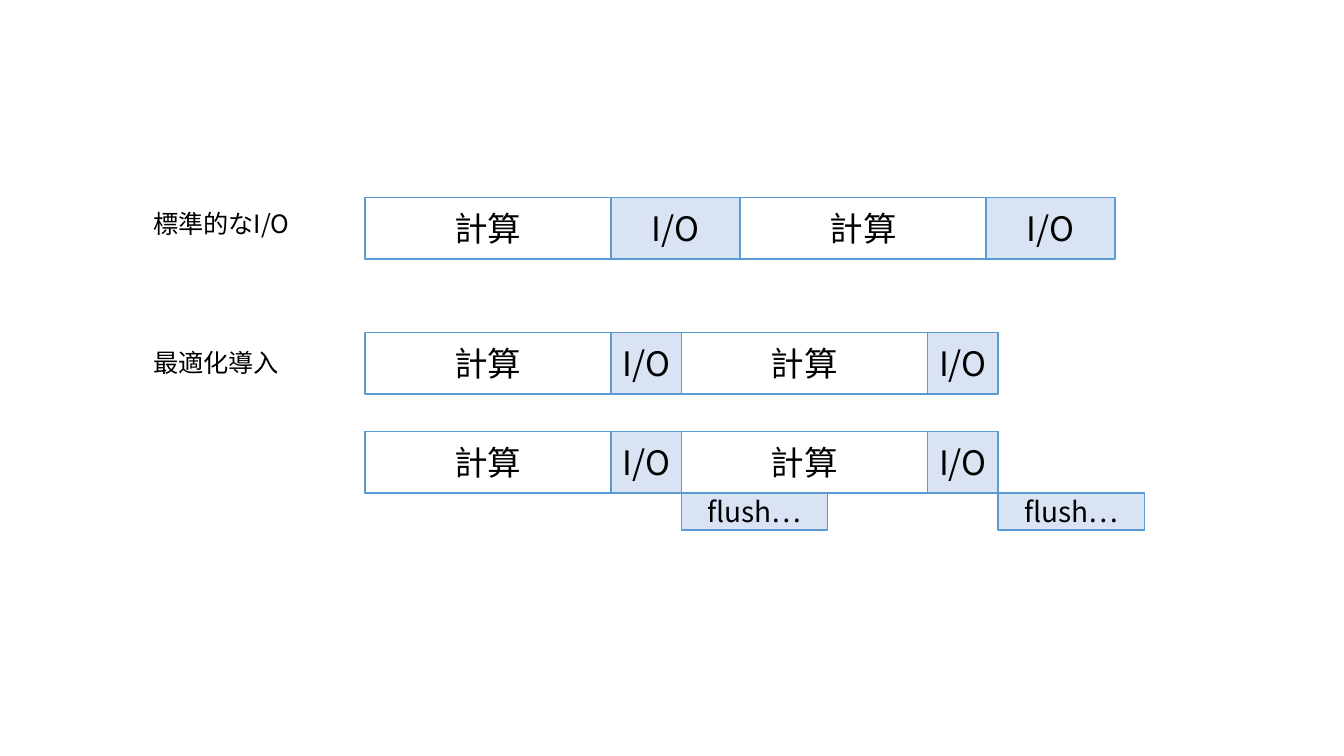
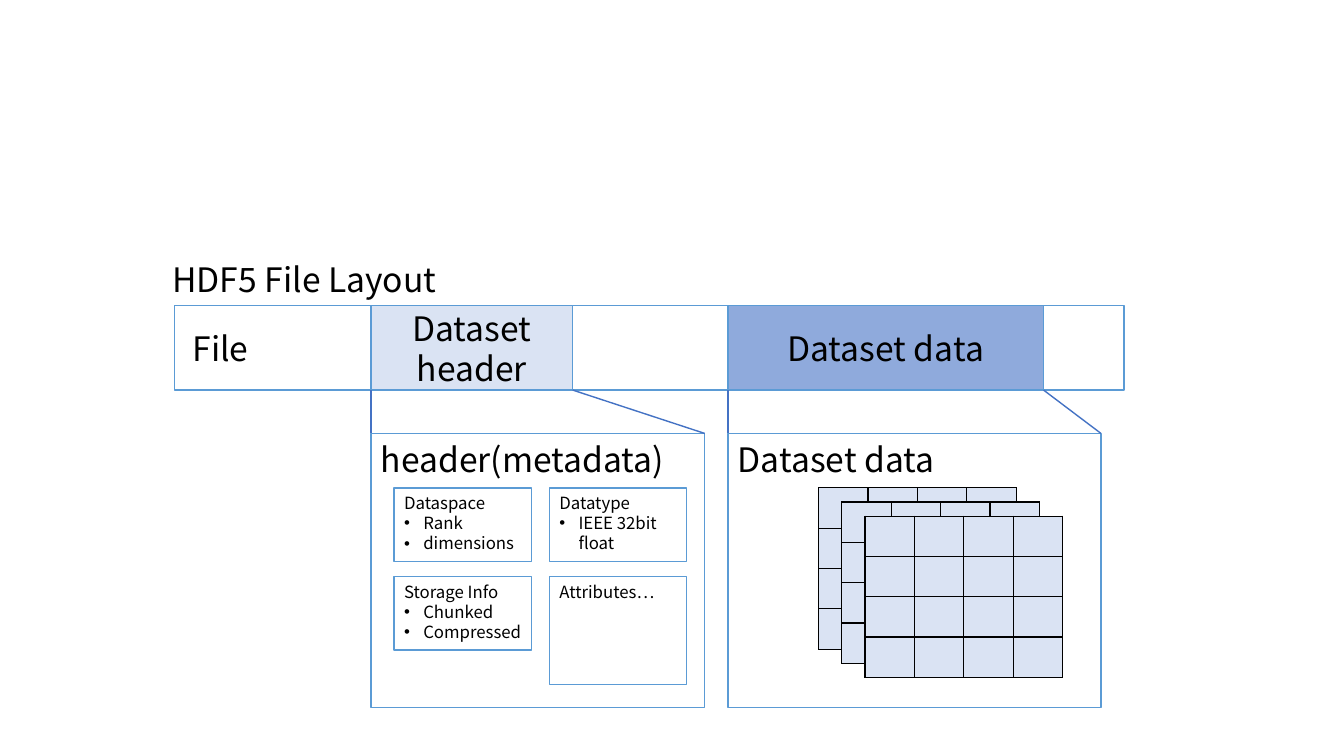
from pptx import Presentation
from pptx.dml.color import RGBColor
from pptx.enum.shapes import MSO_CONNECTOR, MSO_SHAPE
from pptx.enum.text import MSO_ANCHOR, MSO_AUTO_SIZE, PP_ALIGN
from pptx.oxml.ns import qn
from pptx.util import Inches, Pt
from lxml import etree

RECTANGLE = MSO_SHAPE.RECTANGLE
STRAIGHT = MSO_CONNECTOR.STRAIGHT
TOP, MIDDLE = MSO_ANCHOR.TOP, MSO_ANCHOR.MIDDLE
LEFT, CENTER = PP_ALIGN.LEFT, PP_ALIGN.CENTER

FONT = "Noto Sans CJK JP"
BLACK = RGBColor(0x00, 0x00, 0x00)
WHITE = RGBColor(0xFF, 0xFF, 0xFF)
PALE_BLUE = RGBColor(0xDA, 0xE3, 0xF3)
MID_BLUE = RGBColor(0x8F, 0xAA, 0xDC)
OUTLINE = RGBColor(0x5B, 0x9B, 0xD5)
CONNECTOR = RGBColor(0x44, 0x72, 0xC4)


def write(shape, lines, size, align=LEFT, anchor=TOP):
    """Write the lines; every line after the first is a bullet."""
    frame = shape.text_frame
    settings = {"word_wrap": True, "auto_size": MSO_AUTO_SIZE.NONE, "vertical_anchor": anchor}
    for name, value in settings.items():
        setattr(frame, name, value)
    for index, line in enumerate(lines):
        para = frame.add_paragraph() if index else frame.paragraphs[0]
        para.alignment = align
        if index:
            properties = para._p.get_or_add_pPr()
            properties.set("marL", str(Inches(0.19)))
            properties.set("indent", str(-Inches(0.19)))
            etree.SubElement(properties, qn("a:buFont"), typeface="Arial")
            etree.SubElement(properties, qn("a:buChar"), char="•")
        span = para.add_run()
        span.text = line
        for name, value in {"name": FONT, "size": Pt(size)}.items():
            setattr(span.font, name, value)
        span.font.color.rgb = BLACK
        etree.SubElement(span._r.get_or_add_rPr(), qn("a:ea"), typeface=FONT)


def add_box(page, place, fill, lines, size=24, align=CENTER, anchor=MIDDLE):
    box = page.shapes.add_shape(RECTANGLE, *map(Inches, place))
    box.shadow.inherit = False
    box.fill.solid()
    box.fill.fore_color.rgb = fill
    box.line.color.rgb = OUTLINE
    box.line.width = Pt(1)
    write(box, lines, size, align, anchor)
    return box


deck = Presentation()
deck.slide_width = Inches(13.33)
deck.slide_height = Inches(7.5)
title_layout, blank_layout = deck.slide_layouts[5], deck.slide_layouts[6]

# Slide 1: timelines of computation and I/O
page = deck.slides.add_slide(blank_layout)
compute_width, bar_height = 2.44, 0.61
for top, io_width, flushes in ((1.96, 1.28, False), (3.3, 0.7, False), (4.28, 0.7, True)):
    left = 3.62
    for step in range(2):
        add_box(page, (left, top, compute_width, bar_height), WHITE, ["計算"])
        left += compute_width
        add_box(page, (left, top, io_width, bar_height), PALE_BLUE, ["I/O"])
        left += io_width
        if flushes:
            add_box(page, (left, top + bar_height, 1.45, 0.37), PALE_BLUE, ["flush…"], 20)

for top, label in ((2.02, "標準的なI/O"), (3.4, "最適化導入")):
    label_box = page.shapes.add_textbox(*map(Inches, (1.42, top, 1.82, 0.4)))
    write(label_box, [label], 18)

# Slide 2: file layout
page = deck.slides.add_slide(title_layout)
title = page.shapes.title
for name, value in {"left": 1.61, "top": 2.52, "width": 3.9, "height": 0.5}.items():
    setattr(title, name, Inches(value))
write(title, ["HDF5 File Layout"], 24)

# File bar with its two sections
bar_top, bar_height = 3.03, 0.84
bar_bottom = bar_top + bar_height
file_box = add_box(page, (1.73, bar_top, 9.42, bar_height), WHITE, ["File"], align=LEFT)
file_box.text_frame.margin_left = Inches(0.18)

# Each section opens into a detail panel
panel_top, panel_height = 4.3, 2.72
sections = (
    (3.68, 2.0, 3.31, PALE_BLUE, "Dataset header", "header(metadata)"),
    (7.22, 3.13, 3.7, MID_BLUE, "Dataset data", "Dataset data"),
)
for left, width, panel_width, fill, name, heading in sections:
    add_box(page, (left, bar_top, width, bar_height), fill, [name])
    add_box(page, (left, panel_top, panel_width, panel_height), WHITE, [heading],
            align=LEFT, anchor=TOP)
    for start, end in ((left, left), (left + width, left + panel_width)):
        line = page.shapes.add_connector(
            STRAIGHT, *map(Inches, (start, bar_bottom, end, panel_top)))
        line.line.color.rgb = CONNECTOR
        line.line.width = Pt(1)
        etree.SubElement(line._element.spPr, qn("a:effectLst"))

# Metadata cards
cards = (
    (3.91, 4.84, 0.73, ["Dataspace", "Rank", "dimensions"]),
    (5.45, 4.84, 0.73, ["Datatype", "IEEE 32bit float"]),
    (3.91, 5.72, 0.73, ["Storage Info", "Chunked", "Compressed"]),
    (5.45, 5.72, 1.07, ["Attributes…"]),
)
for left, top, height, lines in cards:
    add_box(page, (left, top, 1.36, height), WHITE, lines, 12, LEFT, TOP)

# Stacked data grids
grid_size, cell_width, cell_height = 4, 0.49, 0.4
for layer in range(3):
    place = (8.12 + 0.23 * layer, 4.84 + 0.14 * layer,
             grid_size * cell_width, grid_size * cell_height)
    grid = page.shapes.add_table(grid_size, grid_size, *map(Inches, place)).table
    grid.first_row = grid.horz_banding = False
    for cell in grid.iter_cells():
        for side in ("left", "right", "top", "bottom"):
            setattr(cell, f"margin_{side}", 0)
        properties = cell._tc.get_or_add_tcPr()
        for edge in ("lnL", "lnR", "lnT", "lnB"):
            border = etree.SubElement(properties, qn(f"a:{edge}"), w=str(Pt(1)))
            paint = etree.SubElement(border, qn("a:solidFill"))
            etree.SubElement(paint, qn("a:srgbClr"), val=str(BLACK))
        cell.fill.solid()
        cell.fill.fore_color.rgb = PALE_BLUE

deck.save("out.pptx")
